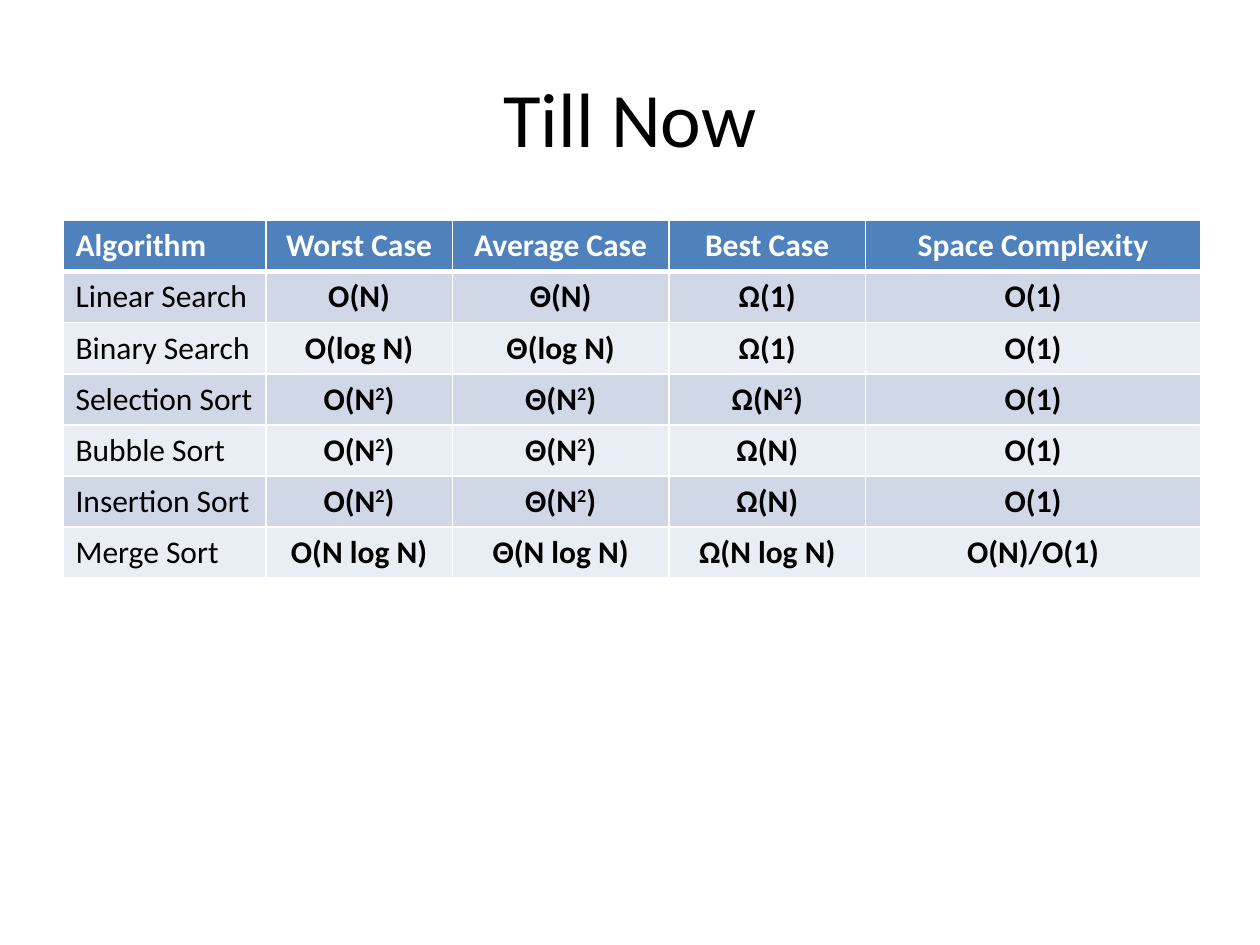
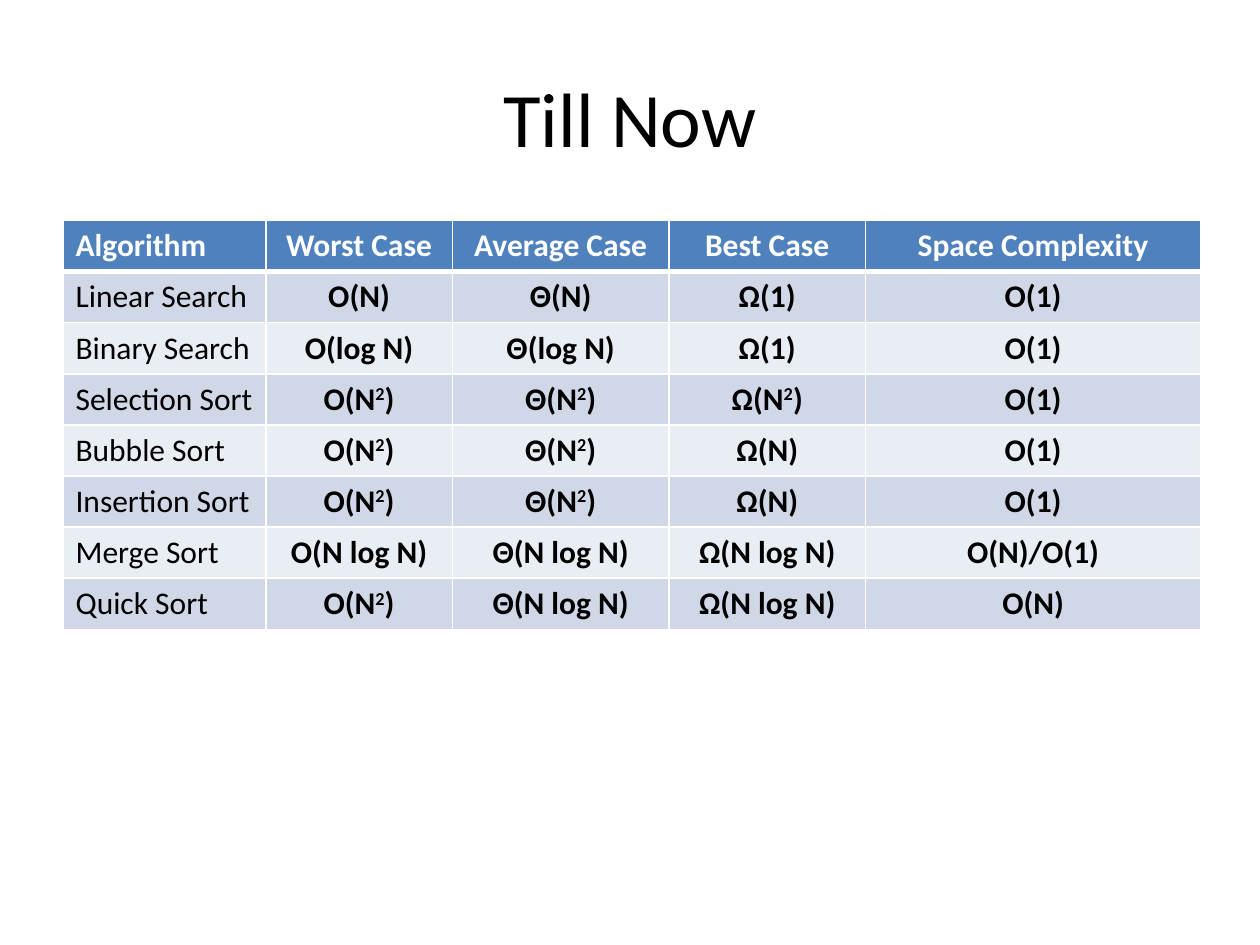
from lxml import etree
from pptx import Presentation
from pptx import util as u
from pptx.dml.color import RGBColor
from pptx.enum import text
from pptx.oxml import ns

FONT = "Calibri"
BLACK, WHITE, BLUE = "000000", "FFFFFF", "4F81BD"
BANDS = ("D0D8E8", "E9EDF4")
COLS = (1.61, 1.48, 1.72, 1.56, 2.66)
ROW = 0.405
THIN, THICK = 1, 3

HEAD = ("Algorithm", "Worst Case", "Average Case", "Best Case", "Space Complexity")
# A caret marks the next character as superscript.
COSTS = [
    ("Linear Search", "O(N)", "Θ(N)", "Ω(1)", "O(1)"),
    ("Binary Search", "O(log N)", "Θ(log N)", "Ω(1)", "O(1)"),
    ("Selection Sort", "O(N^2)", "Θ(N^2)", "Ω(N^2)", "O(1)"),
    ("Bubble Sort", "O(N^2)", "Θ(N^2)", "Ω(N)", "O(1)"),
    ("Insertion Sort", "O(N^2)", "Θ(N^2)", "Ω(N)", "O(1)"),
    ("Merge Sort", "O(N log N)", "Θ(N log N)", "Ω(N log N)", "O(N)/O(1)"),
]
QUICK = ("Quick Sort", "O(N^2)", "Θ(N log N)", "Ω(N log N)", "O(N)")


def paint(fmt, shade):
    """Set a solid colour on a fill, or the colour of a font."""
    if hasattr(fmt, "solid"):
        fmt.solid()
        fmt.fore_color.rgb = RGBColor.from_string(shade)
    else:
        fmt.color.rgb = RGBColor.from_string(shade)


def add_run(para, words, size, shade, bold=False, raised=False):
    run = para.add_run()
    run.text = words
    font = run.font
    font.name, font.size, font.bold = FONT, u.Pt(size), bold
    paint(font, shade)
    if raised:
        run._r.get_or_add_rPr().set("baseline", "30000")


def add_title(slide, words):
    title = slide.shapes.title
    title.left, title.top = u.Inches(0.5), u.Inches(0.3)
    title.width, title.height = u.Inches(9), u.Inches(1.25)
    title.text_frame.vertical_anchor = text.MSO_ANCHOR.MIDDLE
    para = title.text_frame.paragraphs[0]
    para.alignment = text.PP_ALIGN.CENTER
    add_run(para, words, 44, BLACK)


def add_edge(cell, side, width):
    props = cell._tc.get_or_add_tcPr()
    line = etree.SubElement(props, ns.qn(f"a:ln{side}"), w=str(u.Pt(width)))
    fill = etree.SubElement(line, ns.qn("a:solidFill"))
    etree.SubElement(fill, ns.qn("a:srgbClr"), val=WHITE)


def fill_cell(cell, words, row, col):
    """Style and write one cell; row 0 is the header."""
    top = THICK if row == 1 else THIN
    base = THICK if row == 0 else THIN
    for side, width in zip("LRTB", (THIN, THIN, top, base)):
        add_edge(cell, side, width)
    paint(cell.fill, BANDS[(row - 1) % 2] if row else BLUE)

    para = cell.text_frame.paragraphs[0]
    if col:
        para.alignment = text.PP_ALIGN.CENTER
    shade = BLACK if row else WHITE
    bold = row == 0 or col > 0
    start, *rest = words.split("^")
    add_run(para, start, 18, shade, bold)
    for part in rest:
        add_run(para, part[0], 18, shade, bold, raised=True)
        add_run(para, part[1:], 18, shade, bold)


def add_grid(slide, rows):
    frame = slide.shapes.add_table(
        len(rows), len(COLS), u.Inches(0.5), u.Inches(1.75),
        u.Inches(sum(COLS)), u.Inches(ROW * len(rows)))
    grid = frame.table
    for col, width in zip(grid.columns, COLS):
        col.width = u.Inches(width)
    for r, words in enumerate(rows):
        grid.rows[r].height = u.Inches(ROW)
        for c, word in enumerate(words):
            fill_cell(grid.cell(r, c), word, r, c)


def main():
    deck = Presentation()
    deck.slide_width, deck.slide_height = u.Inches(10), u.Inches(7.5)
    for costs in (COSTS, COSTS + [QUICK]):
        slide = deck.slides.add_slide(deck.slide_layouts[5])
        add_title(slide, "Till Now")
        add_grid(slide, [HEAD] + costs)
    deck.save("out.pptx")


if __name__ == "__main__":
    main()
